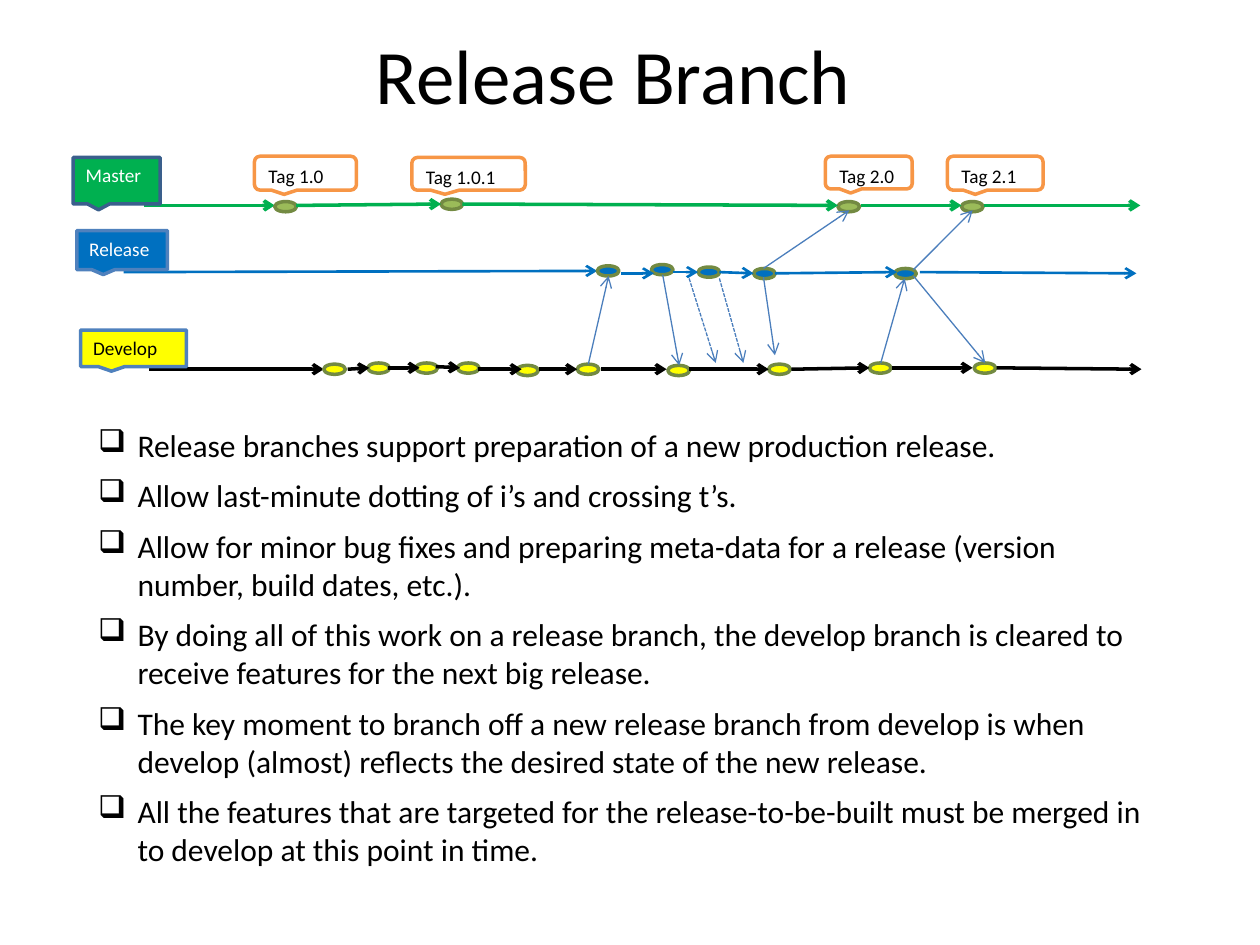
from dataclasses import dataclass

from lxml import etree
from pptx import Presentation
from pptx.dml.color import RGBColor
from pptx.enum.dml import MSO_LINE
from pptx.enum.shapes import MSO_CONNECTOR, MSO_SHAPE
from pptx.enum.text import MSO_ANCHOR, PP_ALIGN
from pptx.oxml.ns import qn
from pptx.util import Pt

STRAIGHT = MSO_CONNECTOR.STRAIGHT
ELLIPSE = MSO_SHAPE.OVAL
LABEL_CALLOUT = MSO_SHAPE.RECTANGULAR_CALLOUT
TAG_CALLOUT = MSO_SHAPE.ROUNDED_RECTANGULAR_CALLOUT
DASHED = MSO_LINE.SQUARE_DOT
MIDDLE, TOP = MSO_ANCHOR.MIDDLE, MSO_ANCHOR.TOP
CENTER, LEFT = PP_ALIGN.CENTER, PP_ALIGN.LEFT


@dataclass(frozen=True)
class Theme:
    font: str = "Calibri"
    title_size: float = 44
    body_size: float = 18
    label_size: float = 11
    black: str = "000000"
    white: str = "FFFFFF"
    green: str = "00B050"
    dark_blue: str = "3A5F8C"
    blue: str = "0070C0"
    soft_blue: str = "4F81BD"
    merge_blue: str = "4B7EBC"
    yellow: str = "FFFF00"
    orange: str = "F79646"
    olive: str = "9BBB59"
    dark_olive: str = "738A42"


THEME = Theme()
NODE_SIZE = (12.4, 5.8)


@dataclass(frozen=True)
class Branch:
    name: str
    label_box: tuple
    label_fill: str
    label_line: str
    label_text: str
    arrow_color: str
    arrow_width: float
    node_fill: str
    nodes: list   # left, top
    arrows: list  # x1, y1, x2, y2


BRANCHES = [
    Branch("Master", (41.8, 90, 49.7, 26.6), THEME.green, THEME.dark_blue,
           THEME.white, THEME.green, 2, THEME.olive,
           [(157, 115.2), (252, 113.8), (478.8, 115.2), (549.4, 115.2)],
           [(82.1, 117.4, 157, 117.4), (169.2, 117.4, 252, 116.6),
            (264.2, 116.6, 478.8, 117.4), (491.8, 117.4, 549.4, 117.4),
            (562.3, 117.4, 651.6, 117.4)]),
    Branch("Release", (43.9, 131.8, 51.8, 22.3), THEME.blue, THEME.soft_blue,
           THEME.white, THEME.blue, 1.5, THEME.blue,
           [(341.3, 151.9), (372.2, 151.2), (398.9, 152.6), (430.6, 153.4),
            (511.2, 153.4)],
           [(70.6, 155.5, 341.3, 154.8), (355, 156.2, 373.7, 156.2),
            (384.5, 155.5, 398.9, 155.5), (411.1, 155.5, 430.6, 156.2),
            (442.8, 156.2, 512.6, 155.5), (525.6, 155.5, 649.4, 156.2)]),
    Branch("Develop", (46.1, 188.6, 60.5, 20.9), THEME.yellow, THEME.soft_blue,
           THEME.black, THEME.black, 2, THEME.yellow,
           [(185, 208.1), (210.2, 207.4), (237.6, 207.4), (261.4, 207.4),
            (295.2, 208.8), (329.8, 208.1), (381.6, 208.8), (439.2, 208.1),
            (496.8, 207.4), (556.6, 207.4)],
           [(85, 211, 185, 211), (198.7, 211, 211, 210.2),
            (221.8, 210.2, 239.8, 210.2), (249.1, 209.5, 262.8, 210.2),
            (272.9, 211, 298.1, 211), (308.2, 211, 329.8, 211),
            (343.4, 211, 380.9, 211), (393.8, 211, 439.2, 211),
            (452.2, 211, 496.8, 210.2), (509.8, 210.2, 555.8, 210.2),
            (569.5, 210.2, 652.3, 211)]),
]

TAGS = [
    ("Tag 1.0", (145.4, 89.3, 58.3, 19.4)),
    ("Tag 1.0.1", (235.4, 90, 64.8, 18.7)),
    ("Tag 2.0", (471.6, 89.3, 49.7, 18.7)),
    ("Tag 2.1", (541.4, 89.3, 54.7, 19.4)),
]

MERGES = [
    (336.2, 208.1, 347.8, 157.7), (436.3, 158.4, 442.8, 203),
    (436.3, 153.4, 485.3, 120.2), (503.3, 207.4, 517, 159.1),
    (522, 154.1, 555.8, 120.2), (522, 157.7, 563, 207.4),
    (378.7, 157, 388.1, 208.8),
]
OPTIONAL_MERGES = [(393.8, 159.1, 409, 207.4), (411.1, 159.1, 424.8, 207.4)]

POINTS = [
    "Release branches support preparation of a new production release.",
    "Allow last-minute dotting of i’s and crossing t’s.",
    "Allow for minor bug fixes and preparing meta-data for a release "
    "(version number, build dates, etc.).",
    "By doing all of this work on a release branch, the develop branch is "
    "cleared to receive features for the next big release.",
    "The key moment to branch off a new release branch from develop is when "
    "develop (almost) reflects the desired state of the new release.",
    "All the features that are targeted for the release-to-be-built must be "
    "merged in to develop at this point in time.",
]


def points(values):
    return [Pt(value) for value in values]


def write(paragraph, text, size, color, align=LEFT):
    paragraph.text = text
    paragraph.alignment = align
    paragraph.font.name = THEME.font
    paragraph.font.size = Pt(size)
    paragraph.font.color.rgb = RGBColor.from_string(color)


def add_shape(page, kind, box, fill, line):
    shape = page.shapes.add_shape(kind, *points(box))
    shape.shadow.inherit = False
    shape.fill.solid()
    shape.fill.fore_color.rgb = RGBColor.from_string(fill)
    shape.line.color.rgb = RGBColor.from_string(line)
    shape.line.width = Pt(2)
    return shape


def add_callout(page, kind, text, box, fill, line, color):
    frame = add_shape(page, kind, box, fill, line).text_frame
    frame.vertical_anchor = TOP
    write(frame.paragraphs[0], text, THEME.label_size, color)


def add_arrow(page, ends, color, width, dash=None):
    arrow = page.shapes.add_connector(STRAIGHT, *points(ends))
    arrow.line.color.rgb = RGBColor.from_string(color)
    arrow.line.width = Pt(width)
    if dash:
        arrow.line.dash_style = dash
    etree.SubElement(arrow.line._get_or_add_ln(), qn("a:tailEnd"), type="arrow")
    etree.SubElement(arrow._element.spPr, qn("a:effectLst"))


def add_branch(page, branch):
    """Draw the label over the first arrow, and later arrows over the nodes."""
    first, *later = branch.arrows
    add_arrow(page, first, branch.arrow_color, branch.arrow_width)
    add_callout(page, LABEL_CALLOUT, branch.name, branch.label_box,
                branch.label_fill, branch.label_line, branch.label_text)
    for corner in branch.nodes:
        add_shape(page, ELLIPSE, corner + NODE_SIZE, branch.node_fill,
                  THEME.dark_olive)
    for ends in later:
        add_arrow(page, ends, branch.arrow_color, branch.arrow_width)


def add_text_frame(page, box):
    frame = page.shapes.add_textbox(*points(box)).text_frame
    frame.word_wrap = True
    return frame


def add_title(page, text):
    frame = add_text_frame(page, (26.6, 12.2, 648, 59.8))
    frame.vertical_anchor = MIDDLE
    write(frame.paragraphs[0], text, THEME.title_size, THEME.black, CENTER)


def add_bullets(page, items):
    frame = add_text_frame(page, (49, 239.8, 617.8, 260.6))
    for index, item in enumerate(items):
        paragraph = frame.add_paragraph() if index else frame.paragraphs[0]
        write(paragraph, item, THEME.body_size, THEME.black)
        paragraph.space_before = Pt(6)
        paragraph.space_after = Pt(1.3)
        properties = paragraph._p.get_or_add_pPr()
        properties.set("marL", str(Pt(22.5)))
        properties.set("indent", str(-Pt(22.5)))
        bullet = etree.Element(qn("a:buChar"), char="❑")
        properties.find(qn("a:defRPr")).addprevious(bullet)


def main():
    deck = Presentation()
    deck.slide_width, deck.slide_height = Pt(720), Pt(540)
    page = deck.slides.add_slide(deck.slide_layouts[6])
    add_title(page, "Release Branch")
    for text, box in TAGS:
        add_callout(page, TAG_CALLOUT, text, box, THEME.white, THEME.orange,
                    THEME.black)
    for branch in BRANCHES:
        add_branch(page, branch)
    for ends in MERGES:
        add_arrow(page, ends, THEME.merge_blue, 0.75)
    for ends in OPTIONAL_MERGES:
        add_arrow(page, ends, THEME.merge_blue, 0.75, DASHED)
    add_bullets(page, POINTS)
    deck.save("out.pptx")


if __name__ == "__main__":
    main()
